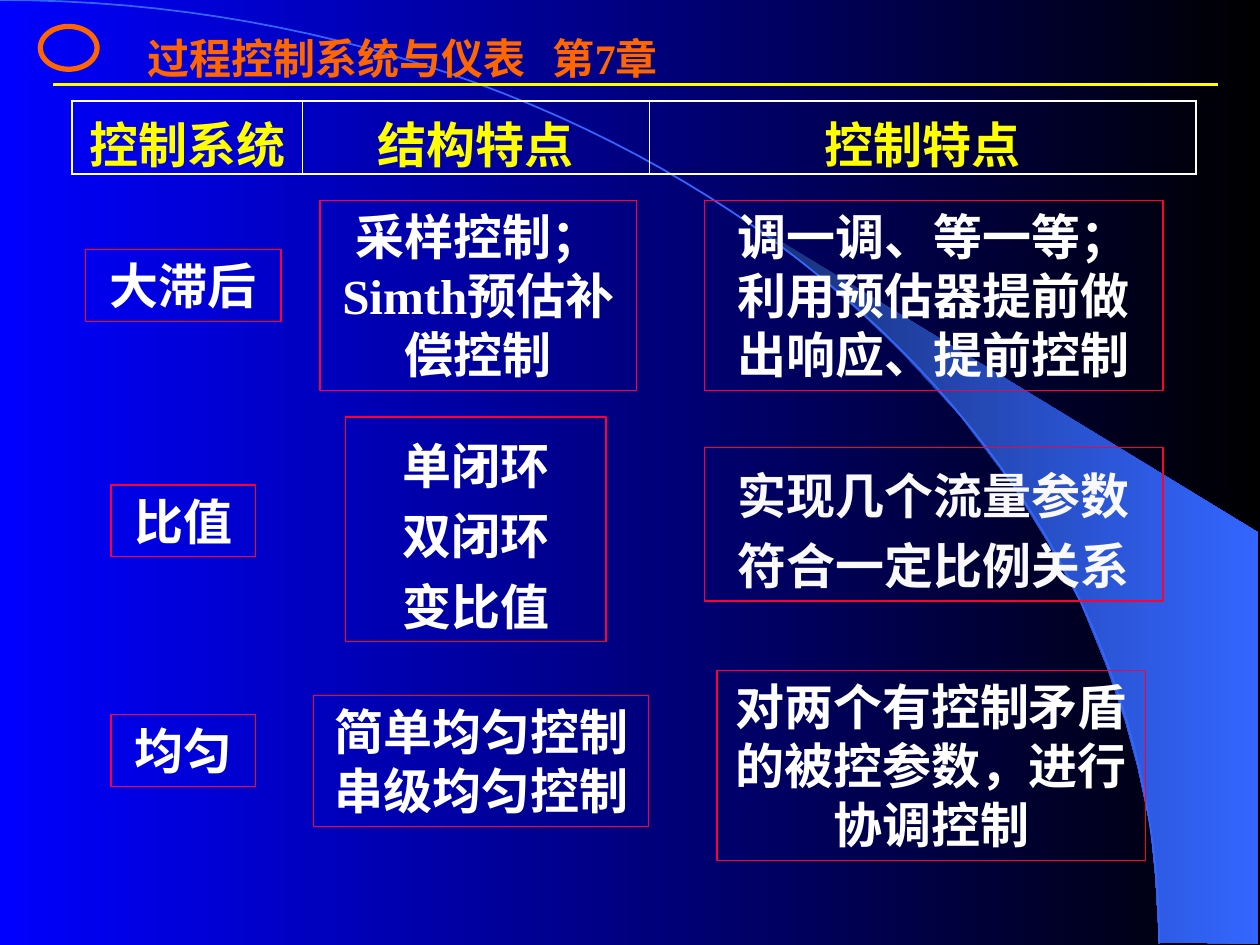
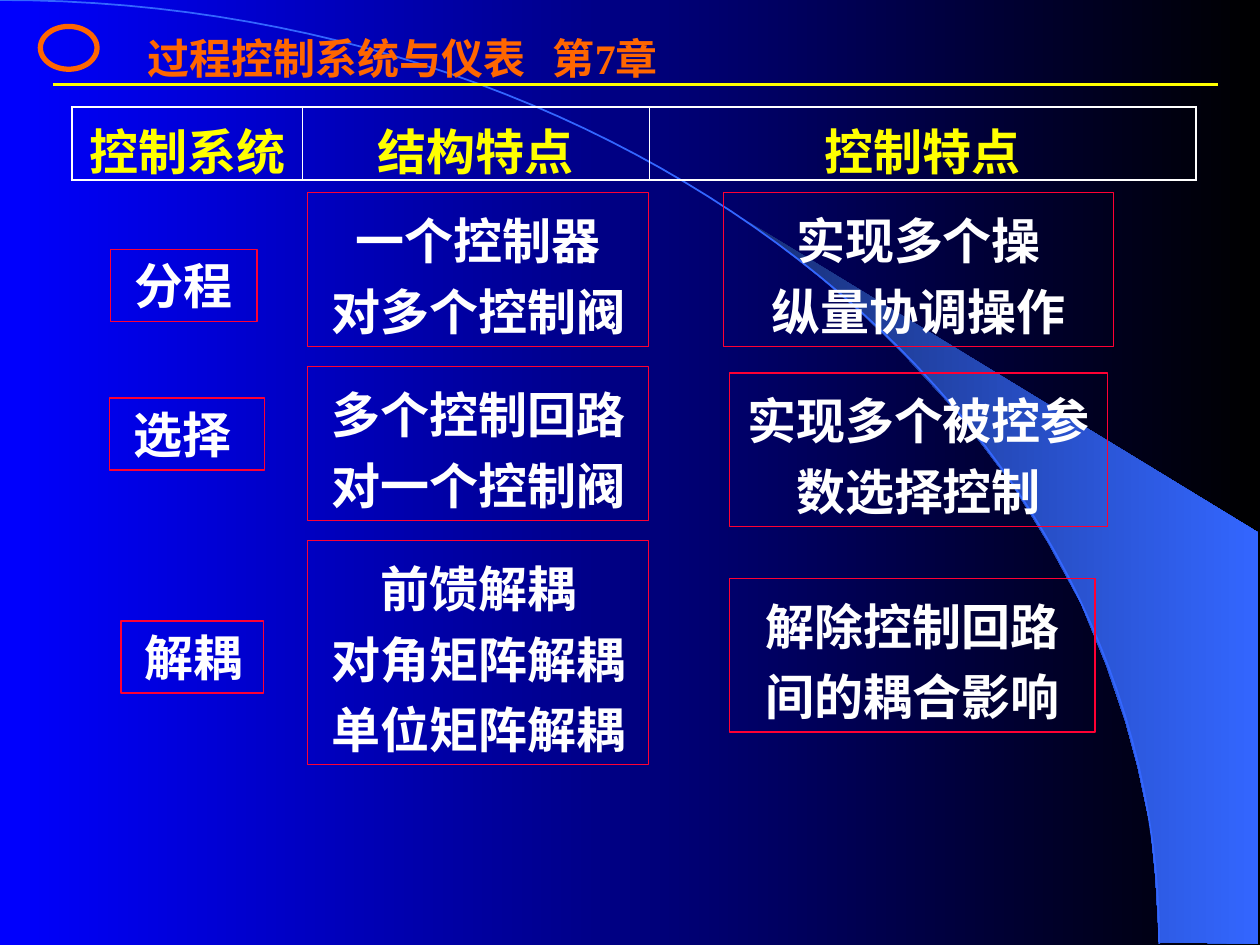
from lxml import etree
from pptx import Presentation
from pptx.dml.color import RGBColor
from pptx.enum import shapes, text
from pptx.oxml.ns import qn
from pptx.util import Inches, Pt

BLUE, BLACK = RGBColor(0, 0, 255), RGBColor(0, 0, 0)
NAVY, SKY = RGBColor(0x18, 0x2F, 0x76), RGBColor(0x33, 0x66, 0xFF)
RED, ORANGE = RGBColor(0xFF, 0, 0x33), RGBColor(0xFF, 0x66, 0)
YELLOW, WHITE = RGBColor(255, 255, 0), RGBColor(255, 255, 255)
PALE = RGBColor(0xF9, 0xF9, 0xF9)
LATIN, HAN = "Times New Roman", "Noto Sans CJK SC"
CENTER, LEFT = text.PP_ALIGN.CENTER, text.PP_ALIGN.LEFT

PAD = 0.05
SWOOP = [(9.2, 7.48), (9.99, 7.49), (9.99, 4.23), (5.89, 1.73), (6.24, 1.99),
         (6.53, 2.22), (6.85, 2.5), (7.16, 2.8), (7.62, 3.3), (8.03, 3.84),
         (8.32, 4.31), (8.58, 4.79), (8.78, 5.28), (8.93, 5.72),
         (9.03, 6.09), (9.13, 6.56), (9.17, 6.96)]
HEADS = ["控制系统", "结构特点", "控制特点"]
WIDTHS = [1.83, 2.75, 4.34]

# Each slide: top of the header table, labels (left, top, width, text)
# and notes (left, top, width, rows, text, format).
WIDE = dict(gap=1.2)
SANS = dict(gap=1.2, font=HAN)
PAGES = [
    (0.8,
     [(0.68, 1.98, 1.55, "大滞后"), (0.88, 3.85, 1.15, "比值"),
      (0.88, 5.67, 1.15, "均匀")],
     [(2.54, 1.59, 2.51, 3, "采样控制；\nSimth预估补偿控制", {}),
      (5.59, 1.59, 3.64, 3, "调一调、等一等；\n利用预估器提前做出响应、提前控制", {}),
      (2.74, 3.31, 2.07, 3, "单闭环\n双闭环\n变比值", WIDE),
      (5.59, 3.55, 3.64, 2, "实现几个流量参数\n符合一定比例关系",
       dict(gap=1.2, color=PALE)),
      (2.49, 5.52, 2.66, 2, "简单均匀控制\n串级均匀控制", {}),
      (5.69, 5.32, 3.4, 3, "对两个有控制矛盾的被控参数，进行协调控制", {})]),
    (0.85,
     [(0.88, 1.98, 1.16, "分程"), (0.87, 3.16, 1.23, "选择"),
      (0.96, 4.93, 1.13, "解耦")],
     [(2.44, 1.53, 2.71, 2, "一个控制器\n对多个控制阀", WIDE),
      (2.44, 2.91, 2.71, 2, "多个控制回路\n对一个控制阀", WIDE),
      (2.44, 4.29, 2.71, 3, "前馈解耦\n对角矩阵解耦\n单位矩阵解耦", WIDE),
      (5.74, 1.53, 3.1, 2, "实现多个操\n纵量协调操作", SANS),
      (5.79, 2.96, 3, 2, "实现多个被控参\n数选择控制", SANS),
      (5.79, 4.59, 2.9, 2, "解除控制回路间的耦合影响", SANS)]),
]


def blend(fill, first, last):
    """Fill from left to right with two colours."""
    fill.gradient()
    fill.gradient_angle = 0
    for stop, color in zip(fill.gradient_stops, (first, last)):
        stop.color.rgb = color


def write(frame, words, size=28, color=WHITE, font=LATIN, align=CENTER,
          gap=None, tab=None):
    """Write one paragraph per line of words; tab is a stop in inches."""
    frame.word_wrap = True
    for i, line in enumerate(words.split("\n")):
        para = frame.add_paragraph() if i else frame.paragraphs[0]
        para.alignment = align
        if gap:
            para.line_spacing = gap
        if tab:
            stops = etree.SubElement(para._p.get_or_add_pPr(), qn("a:tabLst"))
            etree.SubElement(stops, qn("a:tab"), pos=str(Inches(tab)), algn="l")
        run = para.add_run()
        run.text = line
        run.font.size, run.font.bold, run.font.name = Pt(size), True, font
        run.font.color.rgb = color
        etree.SubElement(run._r.get_or_add_rPr(), qn("a:ea"), typeface=HAN)


def border(cell, **sides):
    """Draw white cell edges, given as side=width in points."""
    props = cell._tc.get_or_add_tcPr()
    for i, (side, width) in enumerate(sides.items()):
        edge = etree.Element(qn("a:ln" + side), w=str(Pt(width)))
        fill = etree.SubElement(edge, qn("a:solidFill"))
        etree.SubElement(fill, qn("a:srgbClr"), val=str(WHITE))
        props.insert(i, edge)


class Deck:
    """Holds the shared style and the current slide."""

    def __init__(self):
        self.prs = Presentation()
        self.prs.slide_width, self.prs.slide_height = Inches(10), Inches(7.5)
        blend(self.prs.slide_master.background.fill, BLUE, BLACK)
        self.slide = None

    def page(self):
        """Start a slide with the shared backdrop and title."""
        self.slide = self.prs.slides.add_slide(self.prs.slide_layouts[6])
        swoop = self.outline(SWOOP, True)
        blend(swoop.fill, NAVY, SKY)
        swoop.line.fill.background()
        self.arc()
        self.shape(shapes.MSO_SHAPE.OVAL, 0.32, 0.21, 0.45, 0.34, ORANGE, 3)
        self.rule(0.42, 0.67, 9.67)
        box = self.slide.shapes.add_textbox(
            Inches(1.07), Inches(0.21), Inches(4.6), Inches(0.5))
        write(box.text_frame, "过程控制系统与仪表\t第7章", size=24,
              color=ORANGE, align=LEFT, tab=3.22)

    def outline(self, points, close):
        spots = [(Inches(x), Inches(y)) for x, y in points]
        pen = self.slide.shapes.build_freeform(*spots[0])
        pen.add_line_segments(spots[1:], close=close)
        form = pen.convert_to_shape()
        form.shadow.inherit = False
        return form

    def arc(self, steps=60):
        """Draw the quarter curve from the top left to the bottom right."""
        points = []
        for i in range(steps + 1):
            t = i / steps
            s = 1 - t
            points.append((3 * s * s * t * 5.08 + (3 * s + t) * t * t * 9.2,
                           3 * s * t * t * 3.35 + t ** 3 * 7.49))
        curve = self.outline(points, False)
        curve.fill.background()
        curve.line.color.rgb, curve.line.width = SKY, Pt(1)

    def shape(self, kind, x, y, w, h, color, width):
        form = self.slide.shapes.add_shape(
            kind, Inches(x), Inches(y), Inches(w), Inches(h))
        form.shadow.inherit = False
        form.fill.background()
        form.line.color.rgb, form.line.width = color, Pt(width)
        return form

    def rule(self, x, y, end):
        line = self.slide.shapes.add_connector(
            shapes.MSO_CONNECTOR.STRAIGHT,
            Inches(x), Inches(y), Inches(end), Inches(y))
        line.line.color.rgb, line.line.width = YELLOW, Pt(1.5)
        etree.SubElement(line._element.spPr, qn("a:effectLst"))

    def box(self, x, y, w, rows, words, inset=0.1, gap=None, **style):
        """Draw a red frame just high enough for its rows of text."""
        pitch = 0.56 if gap else 0.47
        form = self.shape(shapes.MSO_SHAPE.RECTANGLE, x, y, w,
                          rows * pitch + 2 * PAD, RED, 0.75)
        frame = form.text_frame
        frame.vertical_anchor = text.MSO_ANCHOR.TOP
        frame.margin_left = Inches(inset)
        write(frame, words, gap=gap, **style)

    def label(self, x, y, w, words):
        self.box(x, y, w, 1, words, inset=0.19, align=LEFT)

    def table(self, x, y, heads, widths):
        grid = self.slide.shapes.add_table(
            1, len(heads), Inches(x), Inches(y),
            Inches(sum(widths)), Inches(0.58)).table
        grid.first_row = grid.horz_banding = False
        last = len(heads) - 1
        for i, (head, width) in enumerate(zip(heads, widths)):
            grid.columns[i].width = Inches(width)
            cell = grid.cell(0, i)
            cell.margin_top, cell.margin_bottom = Inches(PAD), 0
            cell.fill.background()
            border(cell, L=0.45 if i else 1.08, R=0.45 if i < last else 1.08,
                   T=1.08, B=1.08)
            write(cell.text_frame, head, color=YELLOW)


def main():
    deck = Deck()
    for top, labels, notes in PAGES:
        deck.page()
        deck.table(0.57, top, HEADS, WIDTHS)
        for label in labels:
            deck.label(*label)
        for *place, style in notes:
            deck.box(*place, **style)
    deck.prs.save("out.pptx")


if __name__ == "__main__":
    main()
